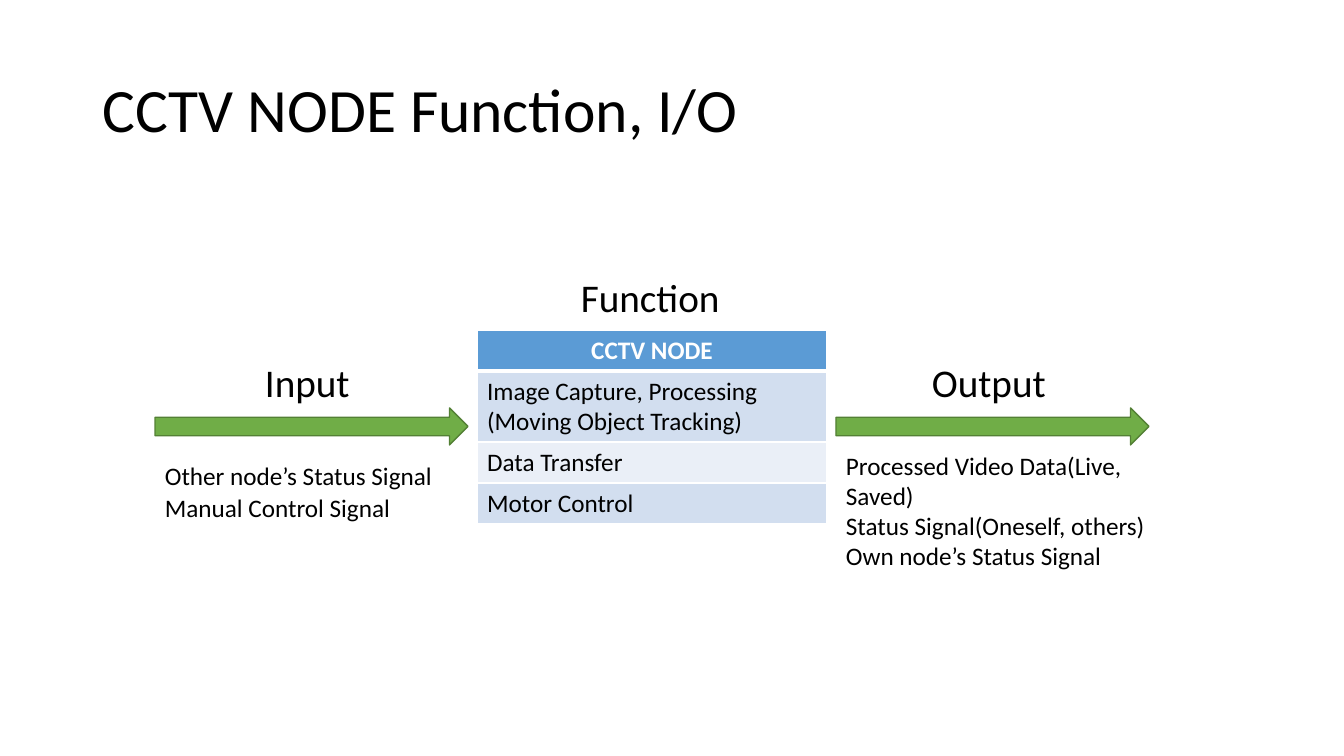
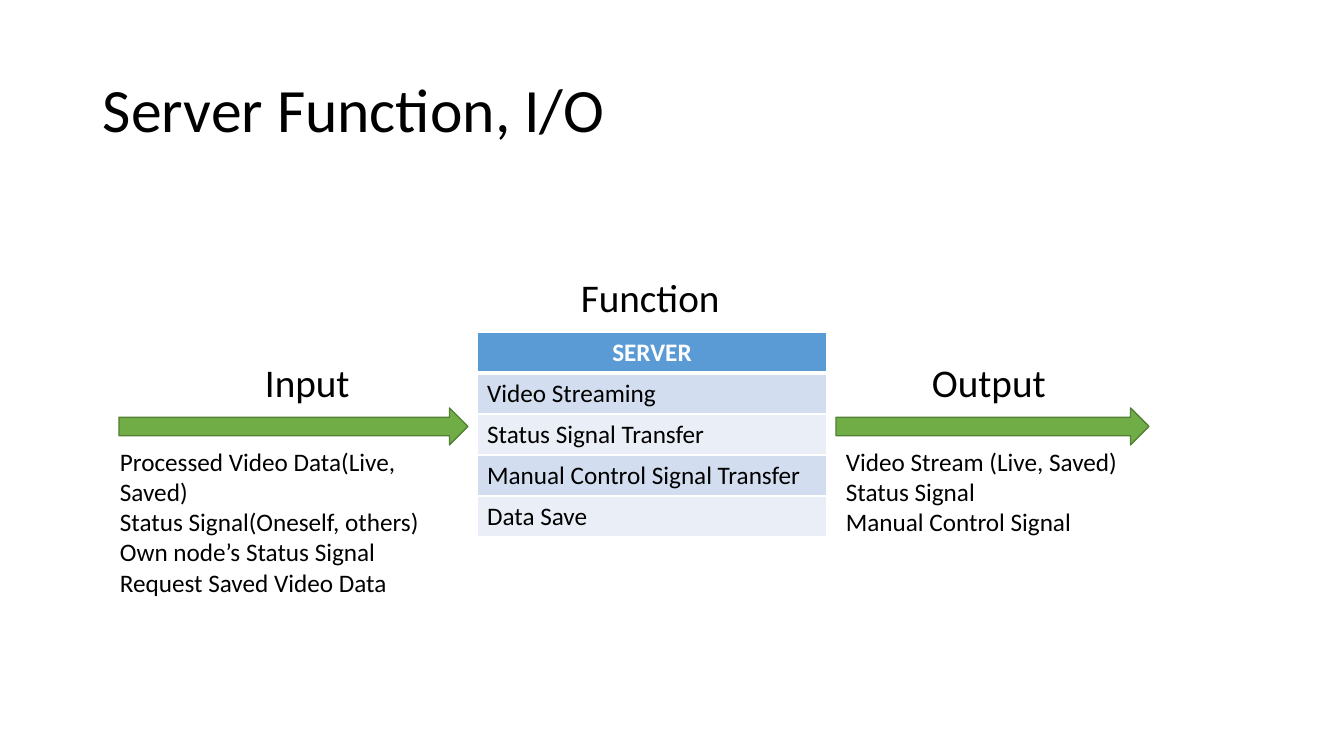
from dataclasses import dataclass

from lxml import etree
from pptx import Presentation
from pptx.dml.color import RGBColor
from pptx.enum.shapes import MSO_SHAPE
from pptx.enum.text import MSO_ANCHOR, PP_ALIGN
from pptx.oxml.ns import qn
from pptx.slide import Slide
from pptx.table import _Cell
from pptx.text.text import TextFrame
from pptx.util import Emu, Pt

RIGHT_ARROW = MSO_SHAPE.RIGHT_ARROW
MIDDLE, TOP = MSO_ANCHOR.MIDDLE, MSO_ANCHOR.TOP
LEFT, CENTER = PP_ALIGN.LEFT, PP_ALIGN.CENTER

EMU_PER_PIXEL = 914400 / 100.8
SLIDE_WIDTH, SLIDE_HEIGHT = 1344, 756
FONT = "Calibri"
TITLE_SIZE, LABEL_SIZE, BODY_SIZE = 44, 28, 18
COLORS = {
    "text": "000000",
    "white": "FFFFFF",
    "header": "5B9BD5",
    "odd_row": "D2DEEF",
    "even_row": "EAEFF7",
    "arrow": "70AD47",
    "arrow_edge": "538035",
}
TABLE_LEFT, TABLE_WIDTH = 477, 350
ROW_HEIGHT, EXTRA_LINE_HEIGHT = 41, 30
ARROW_TOP, ARROW_HEIGHT = 408, 37
INPUT_ARROW_RIGHT = 468
OUTPUT_ARROW_LEFT, OUTPUT_ARROW_RIGHT = 836, 1149


@dataclass(frozen=True)
class TextBlock:
    """A text box: its place in pixels and one string per paragraph."""
    left: int
    top: int
    width: int
    height: int
    lines: tuple[str, ...]


@dataclass(frozen=True)
class NodePage:
    """A node with its function table, inputs and outputs."""
    title: str
    table_top: int
    header: str
    functions: tuple[tuple[str, ...], ...]
    input_arrow_left: int
    captions: tuple[TextBlock, ...]


LABELS = (
    TextBlock(255, 353, 113, 57, ("Input",)),
    TextBlock(922, 353, 139, 57, ("Output",)),
    TextBlock(571, 268, 162, 57, ("Function",)),
)
VIDEO_LINES = (
    "Processed Video Data(Live, Saved)",
    "Status Signal(Oneself, others)",
    "Own node’s Status Signal",
)
PAGES = (
    NodePage(
        "CCTV NODE Function, I/O", 330, "CCTV NODE",
        (("Image Capture, Processing", "(Moving Object Tracking)"),
         ("Data Transfer",), ("Motor Control",)),
        155,
        (TextBlock(155, 455, 297, 40, ("Other node’s Status Signal",)),
         TextBlock(155, 487, 297, 40, ("Manual Control Signal",)),
         TextBlock(836, 445, 360, 102, VIDEO_LINES)),
    ),
    NodePage(
        "Server Function, I/O", 332, "SERVER",
        (("Video Streaming",), ("Status Signal Transfer",),
         ("Manual Control Signal Transfer",), ("Data Save",)),
        119,
        (TextBlock(110, 441, 360, 132,
                   VIDEO_LINES + ("Request Saved Video Data",)),
         TextBlock(836, 441, 322, 102,
                   ("Video Stream (Live, Saved)", "Status Signal",
                    "Manual Control Signal"))),
    ),
)


def px(pixels: float) -> Emu:
    """Turn pixels into EMU."""
    return Emu(round(pixels * EMU_PER_PIXEL))


def color(name: str) -> RGBColor:
    """Look up a named colour."""
    return RGBColor.from_string(COLORS[name])


def write_lines(frame: TextFrame, lines: tuple[str, ...], size: int,
                ink: str = "text", bold: bool = False,
                align: PP_ALIGN = LEFT, spacing: float = 1.0) -> None:
    """Write one paragraph per line, each with a single run."""
    for index, line in enumerate(lines):
        paragraph = frame.add_paragraph() if index else frame.paragraphs[0]
        paragraph.alignment = align
        paragraph.line_spacing = spacing
        run = paragraph.add_run()
        run.text = line
        run.font.name = FONT
        run.font.size = Pt(size)
        run.font.bold = bold
        run.font.color.rgb = color(ink)


def add_text(slide: Slide, block: TextBlock, size: int,
             anchor: MSO_ANCHOR = TOP, spacing: float = 1.0) -> None:
    """Add a wrapping text box."""
    shape = slide.shapes.add_textbox(
        px(block.left), px(block.top), px(block.width), px(block.height))
    frame = shape.text_frame
    frame.word_wrap = True
    frame.vertical_anchor = anchor
    write_lines(frame, block.lines, size, spacing=spacing)


def add_arrow(slide: Slide, left: int, right: int) -> None:
    """Add a green block arrow between two horizontal positions."""
    shape = slide.shapes.add_shape(
        RIGHT_ARROW, px(left), px(ARROW_TOP), px(right - left), px(ARROW_HEIGHT))
    shape.shadow.inherit = False
    shape.fill.solid()
    shape.fill.fore_color.rgb = color("arrow")
    shape.line.color.rgb = color("arrow_edge")
    shape.line.width = Pt(1)


def set_borders(cell: _Cell, top: int, bottom: int) -> None:
    """Draw white cell borders, 1 point wide at the sides."""
    properties = cell._tc.get_or_add_tcPr()
    widths = {"a:lnL": 1, "a:lnR": 1, "a:lnT": top, "a:lnB": bottom}
    for index, (tag, width) in enumerate(widths.items()):
        line = etree.Element(qn(tag), w=str(Pt(width)))
        fill = etree.SubElement(line, qn("a:solidFill"))
        etree.SubElement(fill, qn("a:srgbClr"), val=COLORS["white"])
        properties.insert(index, line)


def add_function_table(slide: Slide, page: NodePage) -> None:
    """Add the one-column table of node functions."""
    rows = ((page.header,),) + page.functions
    heights = [ROW_HEIGHT + EXTRA_LINE_HEIGHT * (len(lines) - 1) for lines in rows]
    table = slide.shapes.add_table(
        len(rows), 1, px(TABLE_LEFT), px(page.table_top),
        px(TABLE_WIDTH), px(sum(heights))).table
    for index, (lines, height) in enumerate(zip(rows, heights)):
        table.rows[index].height = px(height)
        cell = table.cell(index, 0)
        is_header = index == 0
        band = "odd_row" if index % 2 else "even_row"
        cell.fill.solid()
        cell.fill.fore_color.rgb = color("header" if is_header else band)
        set_borders(cell, 3 if index == 1 else 1, 3 if is_header else 1)
        write_lines(cell.text_frame, lines, BODY_SIZE,
                    ink="white" if is_header else "text", bold=is_header,
                    align=CENTER if is_header else LEFT)


def add_page(presentation: Presentation, page: NodePage) -> None:
    """Build the slide of one node."""
    slide = presentation.slides.add_slide(presentation.slide_layouts[6])
    add_text(slide, TextBlock(93, 40, 1159, 146, (page.title,)),
             TITLE_SIZE, MIDDLE, 0.9)
    add_function_table(slide, page)
    add_arrow(slide, page.input_arrow_left, INPUT_ARROW_RIGHT)
    add_arrow(slide, OUTPUT_ARROW_LEFT, OUTPUT_ARROW_RIGHT)
    for caption in page.captions:
        add_text(slide, caption, BODY_SIZE)
    for label in LABELS:
        add_text(slide, label, LABEL_SIZE)


def main() -> None:
    """Build and save the presentation."""
    presentation = Presentation()
    presentation.slide_width = px(SLIDE_WIDTH)
    presentation.slide_height = px(SLIDE_HEIGHT)
    for page in PAGES:
        add_page(presentation, page)
    presentation.save("out.pptx")


main()
